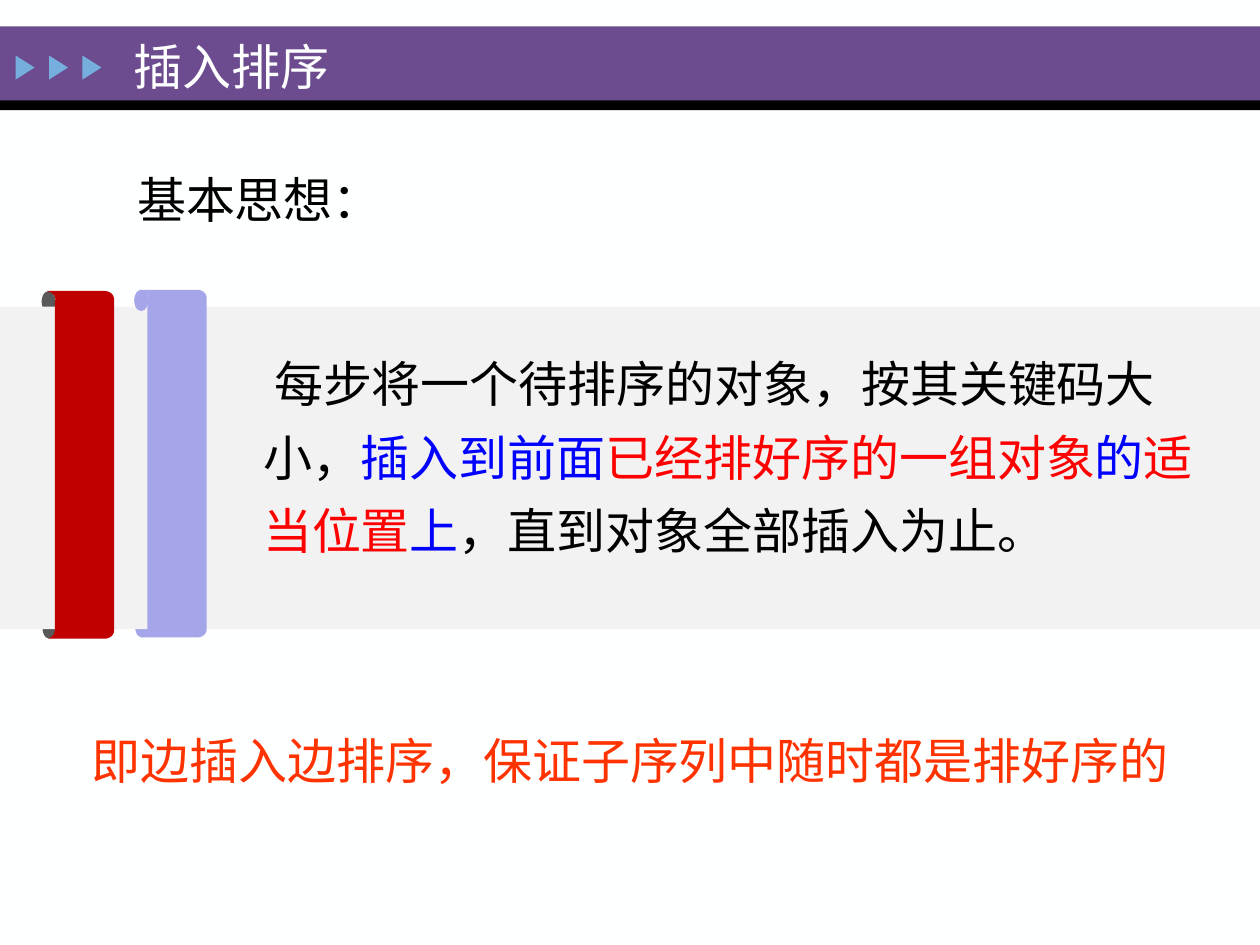
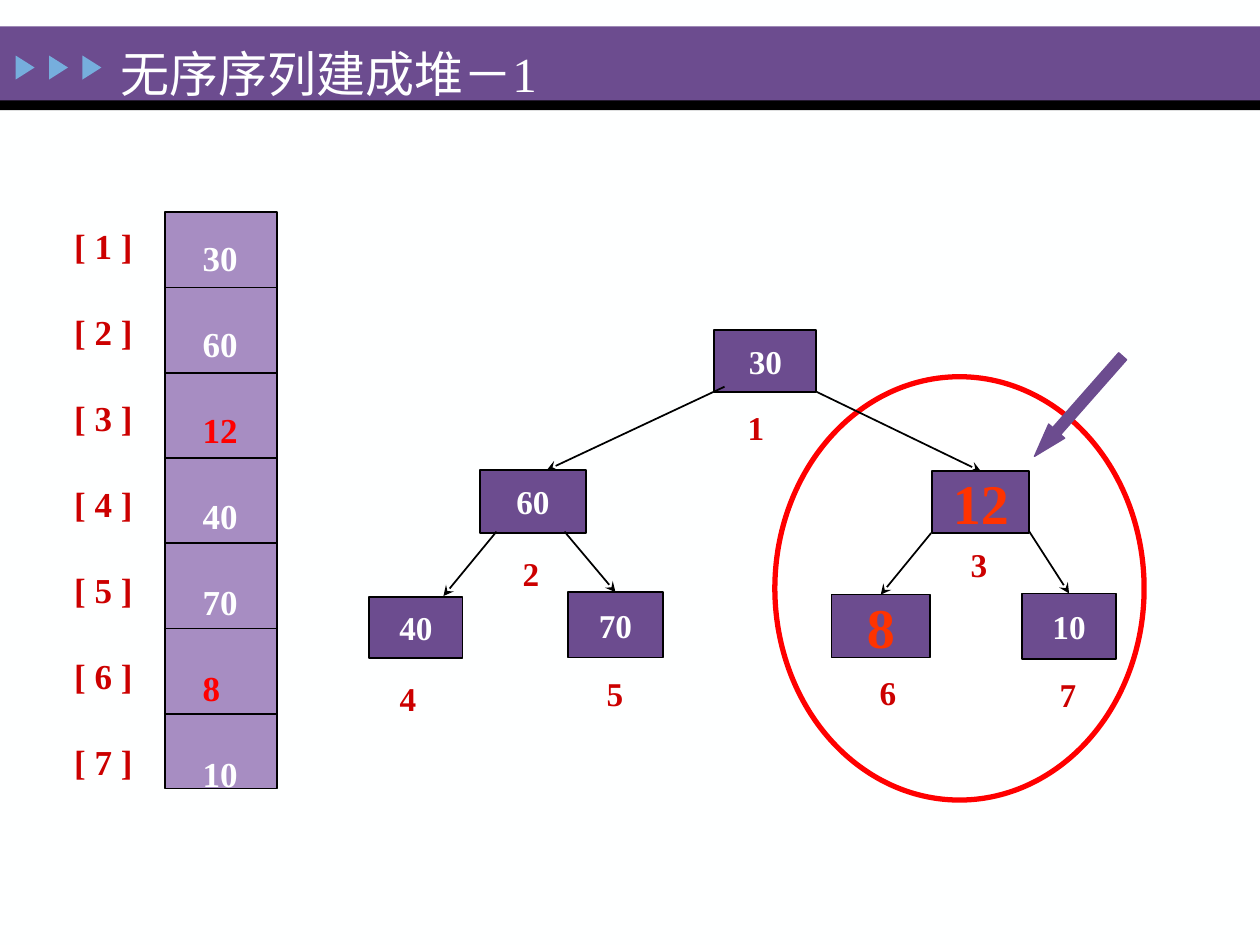
from dataclasses import dataclass

from lxml import etree
from pptx import Presentation
from pptx.dml.color import RGBColor
from pptx.enum.shapes import MSO_CONNECTOR, MSO_SHAPE
from pptx.enum.text import MSO_ANCHOR, MSO_AUTO_SIZE, PP_ALIGN
from pptx.oxml.ns import qn
from pptx.util import Pt


@dataclass(frozen=True)
class Theme:
    font: str = "Times New Roman"
    white: str = "FEFFFF"
    black: str = "000000"
    purple: str = "6C4C8F"
    light_purple: str = "A78DC2"
    sky: str = "76AEDD"
    gray: str = "F2F2F2"
    dark_gray: str = "595959"
    lavender: str = "A5A5E9"
    crimson: str = "C00000"
    index_red: str = "CC0000"
    red: str = "FF0000"
    orange: str = "FF3300"
    blue: str = "0000FF"
    body_size: int = 28
    array_size: int = 20
    node_size: int = 19
    active_size: int = 32


theme = Theme()


def add_block(slide, kind, box, fill, line=None, line_width=1):
    shape = slide.shapes.add_shape(kind, *map(Pt, box))
    shape.shadow.inherit = False
    shape.fill.solid()
    shape.fill.fore_color.rgb = RGBColor.from_string(fill)
    if line:
        shape.line.color.rgb = RGBColor.from_string(line)
        shape.line.width = Pt(line_width)
    else:
        shape.line.fill.background()
    return shape


def write(shape, paragraphs, size, bold=False, spacing=None, gap=0, wrap=True,
          align=PP_ALIGN.LEFT, anchor=MSO_ANCHOR.TOP, insets=(7.2, 3.6)):
    """Fill a shape with paragraphs, each a list of (text, colour) runs."""
    frame = shape.text_frame
    frame.word_wrap = wrap
    frame.auto_size = MSO_AUTO_SIZE.NONE
    frame.vertical_anchor = anchor
    frame.margin_left = frame.margin_right = Pt(insets[0])
    frame.margin_top = frame.margin_bottom = Pt(insets[1])
    for number, runs in enumerate(paragraphs):
        paragraph = frame.add_paragraph() if number else frame.paragraphs[0]
        paragraph.alignment = align
        if spacing:
            paragraph.line_spacing = spacing
        if number:
            paragraph.space_before = Pt(gap)
        for text, color in runs:
            run = paragraph.add_run()
            run.text = text
            run.font.name = theme.font
            run.font.size = Pt(size)
            run.font.bold = bold
            run.font.color.rgb = RGBColor.from_string(color)


presentation = Presentation()
presentation.slide_width, presentation.slide_height = Pt(720), Pt(540)
layout = presentation.slide_layouts[5]
layout.background.fill.solid()
layout.background.fill.fore_color.rgb = RGBColor.from_string(theme.white)

titles = [
    ("插入排序", (69.1, 17.3, 484.6, 54), None),
    ("无序序列建成堆－1", (61.9, 13, 321.1, 41.8), 1.25),
]
slides = []
for text, box, spacing in titles:
    slide = presentation.slides.add_slide(layout)
    title = slide.shapes.title
    title.left, title.top, title.width, title.height = map(Pt, box)
    write(title, [[(text, theme.white)]], theme.body_size, spacing=spacing)
    slides.append(slide)
idea_slide, heap_slide = slides

# Header band, moved to the layout so that both slides share it
header = [
    add_block(idea_slide, MSO_SHAPE.RECTANGLE, (0, 15.1, 720, 42.5), theme.purple),
    add_block(idea_slide, MSO_SHAPE.RECTANGLE, (0, 57.4, 720, 5.6), theme.black),
]
for step in range(3):
    triangle = add_block(idea_slide, MSO_SHAPE.ISOSCELES_TRIANGLE,
                         (7.5 + 19.1 * step, 33.2, 13.7, 10.8), theme.sky)
    triangle.rotation = 90
    header.append(triangle)
for shape in header:
    layout.shapes._spTree.append(shape._element)

# Slide 1: basic idea of insertion sort
statements = [
    ((71.3, 85, 545, 49.7), [("基本思想：", theme.black)], True),
    ((45.4, 405.4, 636.5, 46.1),
     [("即边插入边排序，保证子序列中随时都是排好序的", theme.orange)], False),
]
for box, runs, wrap in statements:
    statement = idea_slide.shapes.add_textbox(*map(Pt, box))
    write(statement, [runs], theme.body_size, spacing=1.25, wrap=wrap)

scrolls = [  # left, top, ribbon colour, curl colour
    (26.3, 166.3, theme.crimson, theme.dark_gray),
    (79.2, 165.6, theme.lavender, theme.lavender),
]
for left, top, ribbon_color, curl_color in scrolls:
    add_block(idea_slide, MSO_SHAPE.OVAL, (left - 2, top + 186.5, 7.5, 12.2), curl_color)
add_block(idea_slide, MSO_SHAPE.RECTANGLE, (0, 175.2, 720, 184.3), theme.gray)
# The curls at the top show only where the ribbon and the band leave them free
left, top, ribbon_color, curl_color = scrolls[0]
curl = add_block(idea_slide, MSO_SHAPE.OVAL, (left - 2.5, top, 8, 12.2), curl_color)
band = idea_slide.shapes[-2]
band._element.addprevious(curl._element)
left, top, ribbon_color, curl_color = scrolls[1]
add_block(idea_slide, MSO_SHAPE.OVAL, (left - 2.5, top, 8, 12.2), curl_color)

corners = [  # Bezier curves, joined by straight sides
    ((5, 6.5), (7.2, 0), (-2.2, 0), (0.7, 0)),
    ((33, 0), (36.7, 0), (38.9, 2.2), (38.9, 5)),
    ((38.9, 193.7), (38.9, 196.6), (36.7, 198.7), (33, 198.7)),
    ((2.2, 198.7), (-0.7, 198.7), (5, 198.7), (5, 193.7)),
]
steps = 12
for left, top, ribbon_color, curl_color in scrolls:
    outline = []
    for corner in corners:
        for t in (step / steps for step in range(steps + 1)):
            weights = ((1 - t) ** 3, 3 * t * (1 - t) ** 2, 3 * t ** 2 * (1 - t), t ** 3)
            x, y = (sum(w * point[axis] for w, point in zip(weights, corner))
                    for axis in (0, 1))
            outline.append((Pt(left + x), Pt(top + y)))
    builder = idea_slide.shapes.build_freeform(*outline[0])
    builder.add_line_segments(outline[1:], close=True)
    ribbon = builder.convert_to_shape()
    ribbon.shadow.inherit = False
    ribbon.fill.solid()
    ribbon.fill.fore_color.rgb = RGBColor.from_string(ribbon_color)
    ribbon.line.fill.background()

idea = idea_slide.shapes.add_textbox(Pt(143.3), Pt(190.1), Pt(551.5), Pt(134.6))
write(idea, [[
    (" 每步将一个待排序的对象，按其关键码大小，", theme.black),
    ("插入到前面", theme.blue),
    ("已经排好序的一组对象", theme.red),
    ("的", theme.blue),
    ("适当位置", theme.red),
    ("上", theme.blue),
    ("，直到对象全部插入为止。", theme.black),
]], theme.body_size, spacing=1.25)

# Slide 2: array and heap
add_block(heap_slide, MSO_SHAPE.OVAL, (442.8, 215.3, 211, 241.9), "FFFFFF", theme.red, 3)
add_block(heap_slide, MSO_SHAPE.RECTANGLE, (94.3, 121.2, 63.8, 329.4),
          theme.light_purple, theme.black)

values = [30, 60, 12, 40, 70, 8, 10]
active = {12, 8}
array_columns = [
    ((35.3, 124.9, 48.2, 330),
     [[(f"[ {index} ]", theme.index_red)] for index in range(1, len(values) + 1)]),
    ((108.7, 131.7, 34.6, 330),
     [[(str(value), theme.red if value in active else theme.white)] for value in values]),
]
for box, paragraphs in array_columns:
    column = heap_slide.shapes.add_textbox(*map(Pt, box))
    write(column, paragraphs, theme.array_size, bold=True, gap=25.1, wrap=False)

pointer = add_block(heap_slide, MSO_SHAPE.LEFT_ARROW, (578.2, 226.1, 76.3, 12.2),
                    theme.purple, theme.purple, 0.75)
pointer.adjustments[0], pointer.adjustments[1] = 0.5, 1.583
pointer.rotation = 311.4

node_places = [  # node box, centre of its index
    ((408.2, 188.6, 58.3, 35.3), (432, 244)),
    ((274.3, 268.6, 60.5, 36), (303.4, 327.4)),
    ((532.8, 269.3, 55.4, 35.3), (559.4, 322.3)),
    ((211, 341.3, 53.3, 34.6), (233.1, 398.9)),
    ((324.7, 338.4, 54, 37.4), (351.4, 396)),
    ((475.2, 339.8, 56.2, 36), (507.4, 395.4)),
    ((583.9, 339.1, 54, 37.4), (610.3, 396.6)),
]
nodes = {}
for index, (value, (box, (x, y))) in enumerate(zip(values, node_places), 1):
    node = add_block(heap_slide, MSO_SHAPE.RECTANGLE, box, theme.purple, theme.black)
    color, size = ((theme.orange, theme.active_size) if value in active
                   else (theme.white, theme.node_size))
    label = heap_slide.shapes.add_textbox(Pt(x - 15), Pt(y - 12), Pt(30), Pt(24))
    for shape, text, text_color, text_size in (
            (node, value, color, size),
            (label, index, theme.index_red, theme.node_size)):
        write(shape, [[(str(text), text_color)]], text_size, bold=True,
              align=PP_ALIGN.CENTER, anchor=MSO_ANCHOR.MIDDLE, insets=(0, 0))
    nodes[index] = node

# Lines: start, end, arrowhead, node whose top the line joins
lines = [((93.6, 164.3 + 48.7 * row), (158.4, 164.3 + 48.7 * row), False, None)
         for row in range(len(values) - 1)]
lines += [
    ((414, 221), (312.5, 268.6), True, None),
    ((466.6, 223.9), (558.7, 270), True, 3),
    ((283.7, 303.8), (253.4, 340.6), True, None),
    ((322.6, 303.8), (355.7, 337), True, 5),
    ((532.1, 304.6), (504.7, 337), True, 6),
    ((588.2, 303.8), (614.9, 337.7), True, 7),
]
for start, end, arrow, child in lines:
    line = heap_slide.shapes.add_connector(MSO_CONNECTOR.STRAIGHT, *map(Pt, start + end))
    line.line.color.rgb = RGBColor.from_string(theme.black)
    line.line.width = Pt(1)
    if arrow:
        etree.SubElement(line.line._get_or_add_ln(), qn("a:tailEnd"), type="stealth")
    if child:
        line.end_connect(nodes[child], 0)
    etree.SubElement(line._element.spPr, qn("a:effectLst"))

presentation.save("out.pptx")
